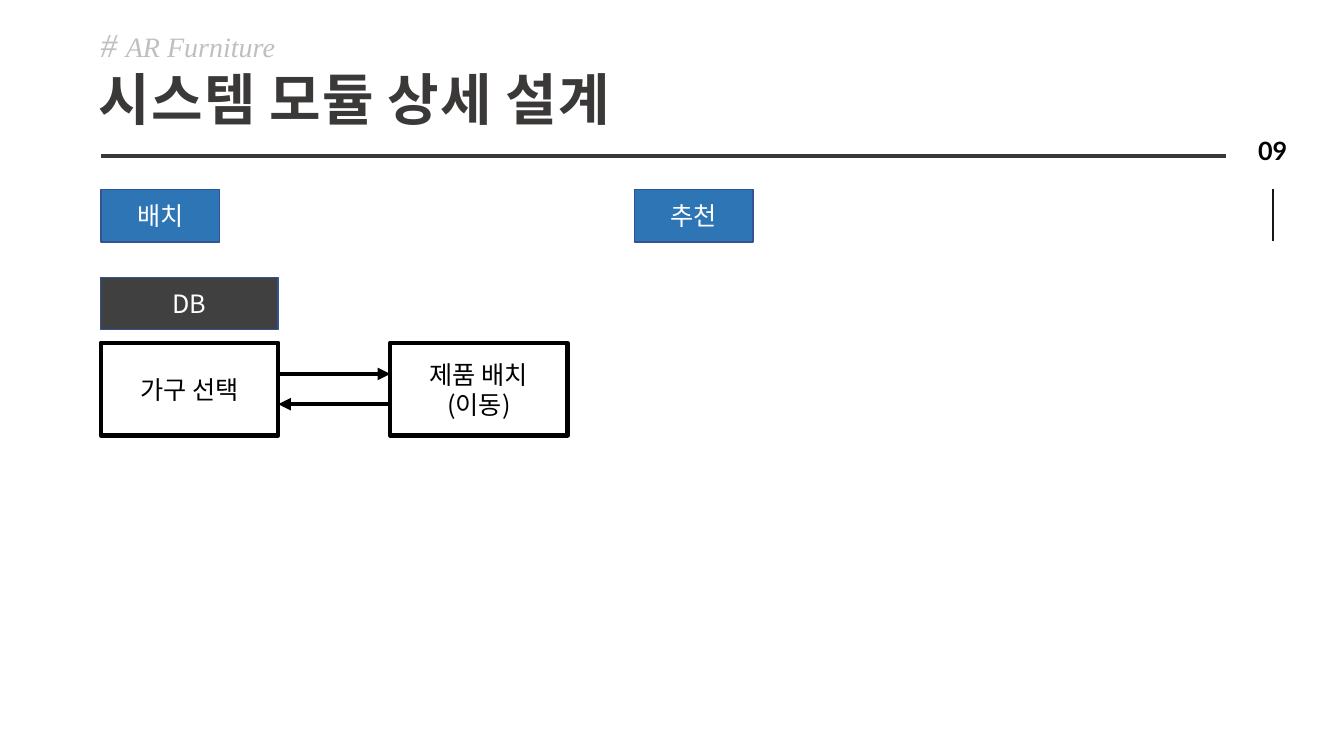
from dataclasses import dataclass

from pptx import Presentation
from pptx import util as u
from pptx.dml.color import RGBColor
from pptx.enum import shapes, text
from pptx.oxml.ns import qn


@dataclass(frozen=True)
class Theme:
    ink: str = "3B3838"
    rule: str = "181717"
    mute: str = "BFBFBF"
    black: str = "000000"
    white: str = "FFFFFF"
    blue: str = "2E75B6"
    edge: str = "325491"
    dark: str = "404040"
    head: str = "Manrope"
    body: str = "Noto Sans CJK KR"
    serif: str = "Times New Roman"
    num: str = "Lato"
    title: int = 40
    hash: int = 24
    sub: int = 20
    base: int = 18


T = Theme()


def color(code):
    return RGBColor.from_string(code)


def write(par, words, font=T.body, size=T.base, ink=T.black,
          bold=False, italic=False, gap=0):
    """Add one run; gap is the letter spacing in points."""
    run = par.add_run()
    run.text = words
    face = run.font
    face.name, face.size = font, u.Pt(size)
    face.bold, face.italic = bold, italic
    face.color.rgb = color(ink)
    props = face._element
    props.find(qn("a:latin")).addnext(
        props.makeelement(qn("a:ea"), {"typeface": font}))
    if gap:
        props.set("spc", str(gap * 100))


def frame(slide, left, top, wide, high, wrap=True):
    """Add a text box and return its first paragraph."""
    box = slide.shapes.add_textbox(*map(u.Inches, (left, top, wide, high)))
    box.text_frame.word_wrap = wrap
    return box.text_frame.paragraphs[0]


def block(slide, left, top, wide, high, lines,
          fill=T.white, edge=T.black, width=3, ink=T.black):
    rect = slide.shapes.add_shape(
        shapes.MSO_SHAPE.RECTANGLE, *map(u.Inches, (left, top, wide, high)))
    rect.shadow.inherit = False
    rect.fill.solid()
    rect.fill.fore_color.rgb = color(fill)
    rect.line.color.rgb = color(edge)
    rect.line.width = u.Pt(width)
    body = rect.text_frame
    body.word_wrap = True
    body.vertical_anchor = text.MSO_ANCHOR.MIDDLE
    for i, words in enumerate(lines):
        par = body.add_paragraph() if i else body.paragraphs[0]
        par.alignment = text.PP_ALIGN.CENTER
        write(par, words, ink=ink)


def stroke(slide, x1, y1, x2, y2, ink=T.black, width=3, arrow=False):
    line = slide.shapes.add_connector(
        shapes.MSO_CONNECTOR.STRAIGHT, *map(u.Inches, (x1, y1, x2, y2)))
    line.line.color.rgb = color(ink)
    line.line.width = u.Pt(width)
    props = line._element.spPr
    if arrow:
        pen = line.line._get_or_add_ln()
        pen.append(pen.makeelement(qn("a:tailEnd"), {"type": "triangle"}))
    props.append(props.makeelement(qn("a:effectLst"), {}))


def header(slide, left, top, wide):
    par = frame(slide, left - 0.12, top + 0.33, 6.36, 1.48)
    par.line_spacing = 0.9
    write(par, "시스템 모듈 상세 설계", font=T.head, size=T.title,
          ink=T.ink, bold=True, gap=1)
    par = frame(slide, left - 0.1, top, 4.33, 0.41)
    par.line_spacing = u.Pt(18)
    for words, size in (("# ", T.hash), ("AR Furniture", T.sub)):
        write(par, words, font=T.serif, size=size, ink=T.mute, italic=True)
    stroke(slide, left, top + 1.21, left + wide, top + 1.21, T.ink, 2.75)


def folio(slide, left, top):
    """Place the page number and the short rule under it."""
    stroke(slide, left + 0.25, top + 0.59, left + 0.25, top + 1.1, T.rule, 1.5)
    par = frame(slide, left, top, 0.64, 0.4, wrap=False)
    write(par, "09", font=T.num, bold=True)


def tags(slide, left, top, step):
    for i, name in enumerate(("배치", "추천")):
        block(slide, left + i * step, top, 1.18, 0.52, [name],
              T.blue, T.edge, 1, T.white)


def flow(slide, left, top):
    """Place the DB label over two boxes joined by arrows both ways."""
    wide, high, step = 1.76, 0.92, 2.87
    row = top + 0.65
    block(slide, left, top, wide, 0.52, ["DB"], T.dark, T.edge, 1, T.white)
    steps = (["가구 선택"], ["제품 배치", "(이동)"])
    for i, lines in enumerate(steps):
        block(slide, left + i * step, row, wide, high, lines)
    near, far = left + wide, left + step
    stroke(slide, far, row + 0.61, near, row + 0.61, arrow=True)
    stroke(slide, near, row + 0.31, far, row + 0.31, arrow=True)


def main():
    deck = Presentation()
    deck.slide_width, deck.slide_height = u.Inches(13.33), u.Inches(7.5)
    slide = deck.slides.add_slide(deck.slide_layouts[6])
    folio(slide, 12.38, 1.29)
    header(slide, 1, 0.34, 11.16)
    tags(slide, 1, 1.88, 5.29)
    flow(slide, 1, 2.75)
    deck.save("out.pptx")


if __name__ == "__main__":
    main()
